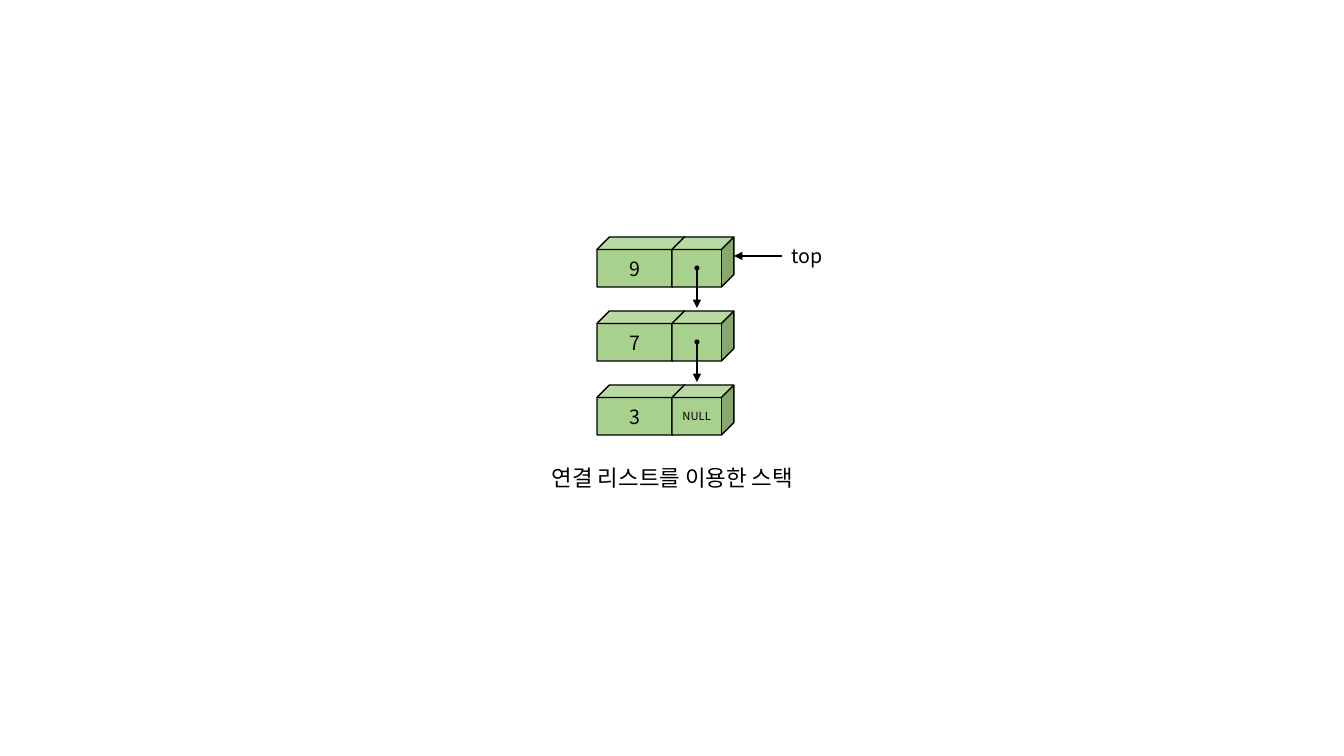
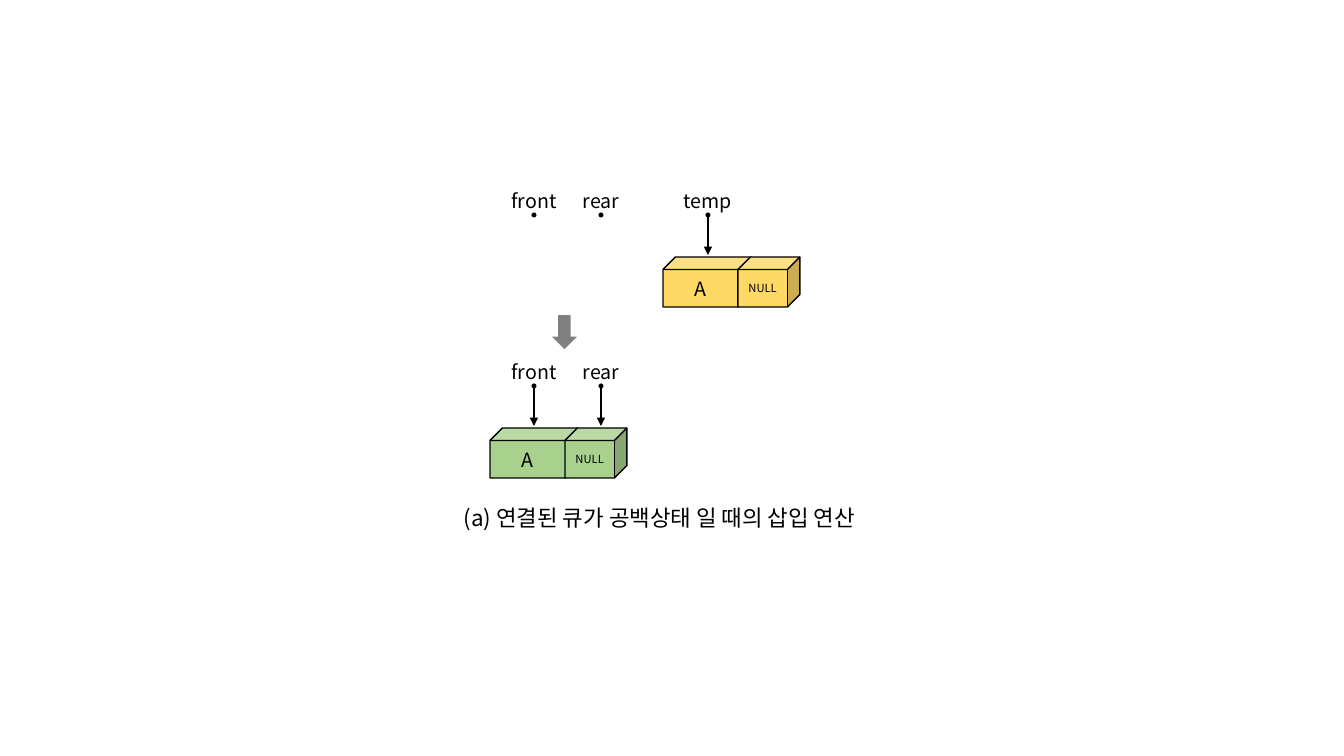
"""Builds two slides on linked stacks and linked queues."""
import dataclasses

import lxml.etree
import pptx
import pptx.dml.color
import pptx.enum.shapes
import pptx.enum.text
import pptx.oxml.ns
import pptx.util

EMU_PER_PIXEL = 914400 / 100.8
SHAPE = pptx.enum.shapes.MSO_SHAPE


@dataclasses.dataclass(frozen=True)
class Theme:
    """Colours, font and sizes shared by both slides."""
    ink: str = "000000"
    linked: str = "A9D18E"
    pending: str = "FFD966"
    step: str = "808080"
    font: str = "Noto Sans CJK KR"
    caption: int = 16
    label: int = 14
    null: int = 8
    line: int = 1


THEME = Theme()

# Node geometry in pixels
DATA_WIDTH, LINK_WIDTH, NODE_HEIGHT = 88, 62, 50
LINK_OFFSET = 75
DOT_SIZE = 5
POINTER_START, POINTER_END = 2, 40
LABEL_WIDTH, LABEL_HEIGHT, LABEL_RISE = 117, 34, 31


def px(pixels):
    """Turn pixels into EMU."""
    return pptx.util.Emu(round(pixels * EMU_PER_PIXEL))


def rgb(code):
    """Turn a hex code into a colour."""
    return pptx.dml.color.RGBColor.from_string(code)


def qualified(tag):
    """Give the full XML name of a prefixed tag."""
    return pptx.oxml.ns.qn(tag)


def write(frame, text, size):
    """Put one centred line of text in a text frame."""
    frame.word_wrap = True
    frame.margin_left = frame.margin_right = 0
    para = frame.paragraphs[0]
    para.text = text
    para.alignment = pptx.enum.text.PP_ALIGN.CENTER
    para.font.size = pptx.util.Pt(size)
    para.font.color.rgb = rgb(THEME.ink)
    para.font.name = THEME.font
    properties = para._p.pPr.find(qualified("a:defRPr"))
    lxml.etree.SubElement(properties, qualified("a:ea"), typeface=THEME.font)


def add_text(page, text, left, top, width, height, size=THEME.label):
    """Add a text box."""
    box = page.shapes.add_textbox(px(left), px(top), px(width), px(height))
    write(box.text_frame, text, size)


def add_caption(page, text, left, top, width):
    """Add the caption under a diagram."""
    add_text(page, text, left, top, width, 37, THEME.caption)


def add_solid(page, kind, left, top, width, height, fill):
    """Add a filled preset shape without outline or shadow."""
    shape = page.shapes.add_shape(kind, px(left), px(top), px(width), px(height))
    shape.shadow.inherit = False
    shape.fill.solid()
    shape.fill.fore_color.rgb = rgb(fill)
    shape.line.fill.background()
    return shape


def add_cube(page, left, top, width, fill, text, size):
    """Add one outlined cube, with text if there is any."""
    cube = add_solid(page, SHAPE.CUBE, left, top, width, NODE_HEIGHT, fill)
    cube.line.color.rgb = rgb(THEME.ink)
    cube.line.width = pptx.util.Pt(THEME.line)
    if text:
        cube.text_frame.vertical_anchor = pptx.enum.text.MSO_ANCHOR.MIDDLE
        write(cube.text_frame, text, size)


def add_node(page, left, top, value, link="NULL", fill=THEME.linked):
    """Add a list node: a data cube and a link cube."""
    add_cube(page, left, top, DATA_WIDTH, fill, value, THEME.label)
    add_cube(page, left + LINK_OFFSET, top, LINK_WIDTH, fill, link, THEME.null)


def add_arrow(page, start_x, start_y, end_x, end_y):
    """Add a straight line with an arrowhead at its end."""
    arrow = page.shapes.add_connector(
        pptx.enum.shapes.MSO_CONNECTOR.STRAIGHT,
        px(start_x), px(start_y), px(end_x), px(end_y))
    arrow.line.color.rgb = rgb(THEME.ink)
    arrow.line.width = pptx.util.Pt(THEME.line)
    lxml.etree.SubElement(
        arrow.line._get_or_add_ln(), qualified("a:tailEnd"), type="triangle")
    lxml.etree.SubElement(arrow._element.spPr, qualified("a:effectLst"))


def add_pointer(page, x, y, label="", linked=True):
    """Add a pointer dot centred at x, y, with its label and downward arrow."""
    if linked:
        add_arrow(page, x, y + POINTER_START, x, y + POINTER_END)
    if label:
        add_text(page, label, x - LABEL_WIDTH / 2, y - LABEL_RISE,
                 LABEL_WIDTH, LABEL_HEIGHT)
    add_solid(page, SHAPE.OVAL, x - DOT_SIZE / 2, y - DOT_SIZE / 2,
              DOT_SIZE, DOT_SIZE, THEME.ink)


def build_stack(page):
    """Draw the stack held in a linked list."""
    add_caption(page, "연결 리스트를 이용한 스택", 344, 459, 657)
    left, first_top, step = 597, 237, 74
    values = "973"
    for row, value in enumerate(values):
        top = first_top + row * step
        is_last = row == len(values) - 1
        add_node(page, left, top, value, "NULL" if is_last else "")
        if not is_last:
            add_pointer(page, left + 100, top + 31)
    add_arrow(page, 782, 256, 734, 256)
    add_text(page, "top", 782, 239, 51, LABEL_HEIGHT)


def build_queue(page):
    """Draw an insertion into an empty linked queue."""
    add_caption(page, "(a) 연결된 큐가 공백상태 일 때의 삽입 연산", 227, 499, 865)
    add_node(page, 490, 428, "A")
    add_node(page, 663, 257, "A", fill=THEME.pending)
    for y, linked in ((215, False), (386, True)):
        add_pointer(page, 534, y, "front", linked)
        add_pointer(page, 601, y, "rear", linked)
    add_pointer(page, 708, 215, "temp")
    add_solid(page, SHAPE.DOWN_ARROW, 552, 315, 25, 34, THEME.step)


def main():
    """Build and save the deck."""
    deck = pptx.Presentation()
    deck.slide_width, deck.slide_height = px(1344), px(756)
    for build in (build_stack, build_queue):
        build(deck.slides.add_slide(deck.slide_layouts[6]))
    deck.save("out.pptx")


main()
